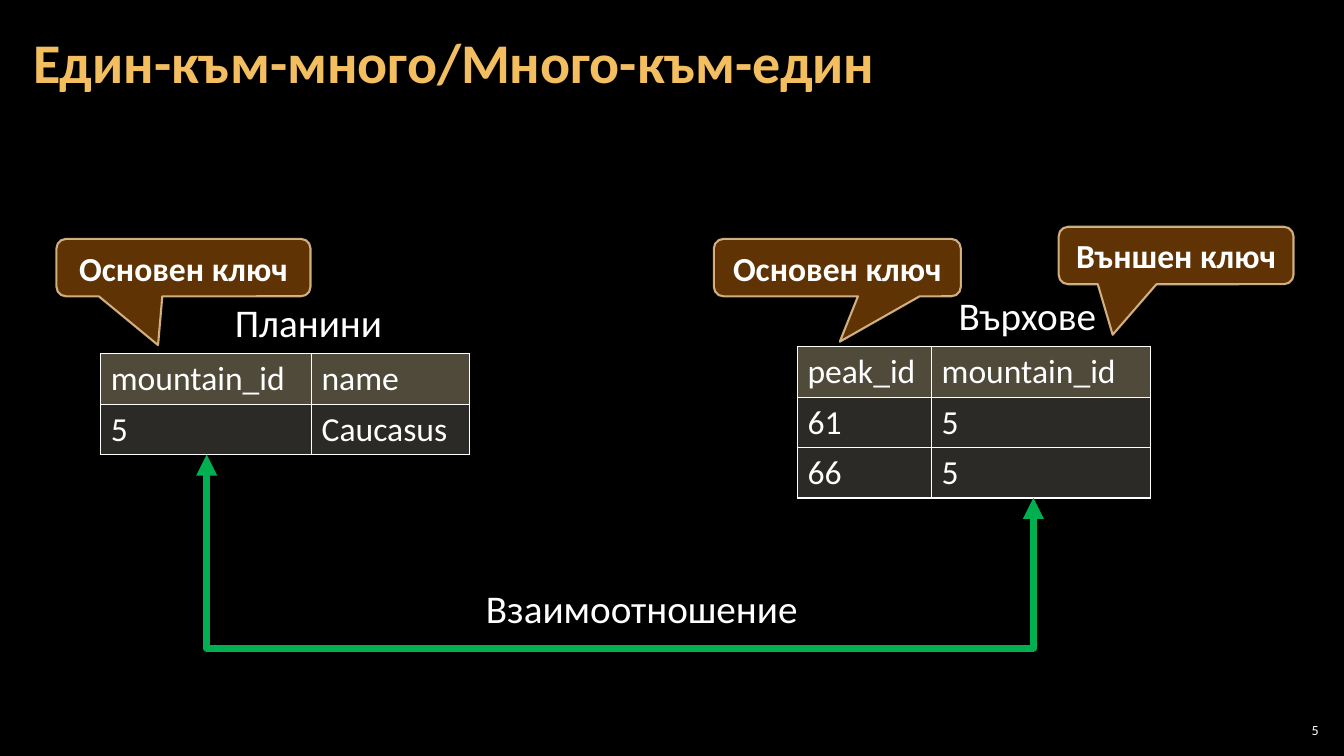
import pptx
import pptx.util
import pptx.dml.color
import pptx.enum.shapes
import pptx.enum.text
import pptx.oxml
import pptx.oxml.ns

Inches = pptx.util.Inches
Pt = pptx.util.Pt
RGBColor = pptx.dml.color.RGBColor
ALIGN = pptx.enum.text.PP_ALIGN
ANCHOR = pptx.enum.text.MSO_ANCHOR
qn = pptx.oxml.ns.qn

BLACK = RGBColor(0x00, 0x00, 0x00)
WHITE = RGBColor(0xFF, 0xFF, 0xFF)
GOLD = RGBColor(0xF3, 0xBE, 0x60)
HEADER = RGBColor(0xA1, 0x95, 0x74)
BODY = RGBColor(0xD9, 0xD5, 0xC7)
BROWN = RGBColor(0x66, 0x36, 0x06)
SAND = RGBColor(0xF8, 0xD4, 0x9E)
GREEN = RGBColor(0x00, 0xB0, 0x50)
FONT = "Calibri"

TITLE = "Един-към-много/Много-към-един"
PAGE = "5"
RELATION = "Взаимоотношение"
TABLES = [
    (1, 3.51, [2.09, 1.57], [["mountain_id", "name"], ["5", "Caucasus"]]),
    (7.91, 3.44, [1.33, 2.17], [["peak_id", "mountain_id"], ["61", "5"], ["66", "5"]]),
]
TABLE_NAMES = [("Планини", 2.23, 2.91, 1.68), ("Върхове", 9.41, 2.84, 1.58)]
KEYS = [
    ("Основен ключ", 0.56, 2.37, 2.52, -0.1, 1.35),
    ("Основен ключ", 7.08, 2.37, 2.45, 0.01, 1.29),
    ("Външен ключ", 10.5, 2.25, 2.33, -0.27, 1.38),
]
ROW_HEIGHT = 0.5
LABEL_HEIGHT = 0.57
LINK_START, LINK_END, LINK_BOTTOM = (2.05, 4.51), (10.25, 4.94), 6.43


def style(frame, size, color=WHITE, bold=False, align=ALIGN.LEFT):
    for paragraph in frame.paragraphs:
        paragraph.alignment = align
        for run in paragraph.runs:
            run.font.name = FONT
            run.font.size = Pt(size)
            run.font.bold = bold
            run.font.color.rgb = color


def set_alpha(fill, percent):
    color = fill._xPr.find(qn("a:solidFill"))[0]
    color.append(pptx.oxml.parse_xml(
        f'<a:alpha {pptx.oxml.ns.nsdecls("a")} val="{percent * 1000}"/>'))


def add_label(slide, text, box, size, wrap=True, inset=None, anchor=ANCHOR.TOP, **look):
    label = slide.shapes.add_textbox(*map(Inches, box))
    frame = label.text_frame
    frame.word_wrap = wrap
    frame.vertical_anchor = anchor
    if inset:
        frame.margin_left = frame.margin_right = Inches(inset)
        frame.margin_top = frame.margin_bottom = Inches(0.04)
    frame.text = text
    style(frame, size, **look)
    return label


def fill_cell(cell, text, color, percent):
    cell.text = text
    style(cell.text_frame, 24)
    properties = cell._tc.get_or_add_tcPr()
    for side in ("lnL", "lnR", "lnT", "lnB"):
        properties.append(pptx.oxml.parse_xml(
            f'<a:{side} {pptx.oxml.ns.nsdecls("a")} w="12700"><a:solidFill>'
            f'<a:srgbClr val="{WHITE}"/></a:solidFill></a:{side}>'))
    cell.fill.solid()
    cell.fill.fore_color.rgb = color
    set_alpha(cell.fill, percent)


def add_data_table(slide, left, top, widths, rows):
    table = slide.shapes.add_table(
        len(rows), len(widths), Inches(left), Inches(top),
        Inches(sum(widths)), Inches(ROW_HEIGHT * len(rows))).table
    for column, width in zip(table.columns, widths):
        column.width = Inches(width)
    for r, row in enumerate(rows):
        for c, text in enumerate(row):
            color, percent = (BODY, 20) if r else (HEADER, 50)
            fill_cell(table.cell(r, c), text, color, percent)


def add_key(slide, text, left, top, width, tip_x, tip_y):
    key = slide.shapes.add_shape(
        pptx.enum.shapes.MSO_SHAPE.ROUNDED_RECTANGULAR_CALLOUT,
        Inches(left), Inches(top), Inches(width), Inches(LABEL_HEIGHT))
    key.shadow.inherit = False
    key.adjustments[0] = tip_x
    key.adjustments[1] = tip_y
    key.fill.solid()
    key.fill.fore_color.rgb = BROWN
    set_alpha(key.fill, 95)
    key.line.color.rgb = SAND
    key.line.width = Pt(1.5)
    set_alpha(key.line.fill, 80)
    key.text_frame.vertical_anchor = ANCHOR.MIDDLE
    key.text_frame.word_wrap = True
    key.text_frame.text = text
    style(key.text_frame, 24, bold=True, align=ALIGN.CENTER)


def add_link(slide):
    (x1, y1), (x2, y2) = LINK_START, LINK_END
    across, down = x2 - x1, y2 - y1
    left = (x1 + x2 - down) / 2
    top = (y1 + y2 - across) / 2
    link = slide.shapes.add_connector(
        pptx.enum.shapes.MSO_CONNECTOR.ELBOW,
        Inches(left), Inches(top), Inches(left + down), Inches(top + across))
    link.line.color.rgb = GREEN
    link.line.width = Pt(5)
    properties = link._element.spPr
    frame = properties.find(qn("a:xfrm"))
    frame.set("rot", "16200000")
    frame.set("flipH", "1")
    bend = round((LINK_BOTTOM - y1) / down * 100000)
    guides = properties.find(qn("a:prstGeom")).find(qn("a:avLst"))
    guides.append(pptx.oxml.parse_xml(
        f'<a:gd {pptx.oxml.ns.nsdecls("a")} name="adj1" fmla="val {bend}"/>'))
    line = properties.find(qn("a:ln"))
    for end in ("headEnd", "tailEnd"):
        line.append(pptx.oxml.parse_xml(
            f'<a:{end} {pptx.oxml.ns.nsdecls("a")} type="triangle"/>'))
    properties.append(pptx.oxml.parse_xml(
        f'<a:effectLst {pptx.oxml.ns.nsdecls("a")}/>'))


def main():
    deck = pptx.Presentation()
    deck.slide_width = Inches(13.33)
    deck.slide_height = Inches(7.5)
    slide = deck.slides.add_slide(deck.slide_layouts[6])
    slide.background.fill.solid()
    slide.background.fill.fore_color.rgb = BLACK

    add_label(slide, PAGE, (12.65, 7.14, 0.47, 0.21), 10,
              inset=0.04, anchor=ANCHOR.MIDDLE, align=ALIGN.RIGHT)
    title = add_label(slide, TITLE, (0.21, 0.04, 10.47, 1.21), 40,
                      inset=0.12, anchor=ANCHOR.MIDDLE, color=GOLD, bold=True)
    title.text_frame.paragraphs[0].line_spacing = 0.9

    for table in TABLES:
        add_data_table(slide, *table)
    for name, left, top, width in TABLE_NAMES:
        add_label(slide, name, (left, top, width, LABEL_HEIGHT), 28, wrap=False)
    for key in KEYS:
        add_key(slide, *key)
    add_link(slide)
    add_label(slide, RELATION, (3.9, 5.75, 4.93, LABEL_HEIGHT), 28, align=ALIGN.CENTER)

    deck.save("out.pptx")


if __name__ == "__main__":
    main()
